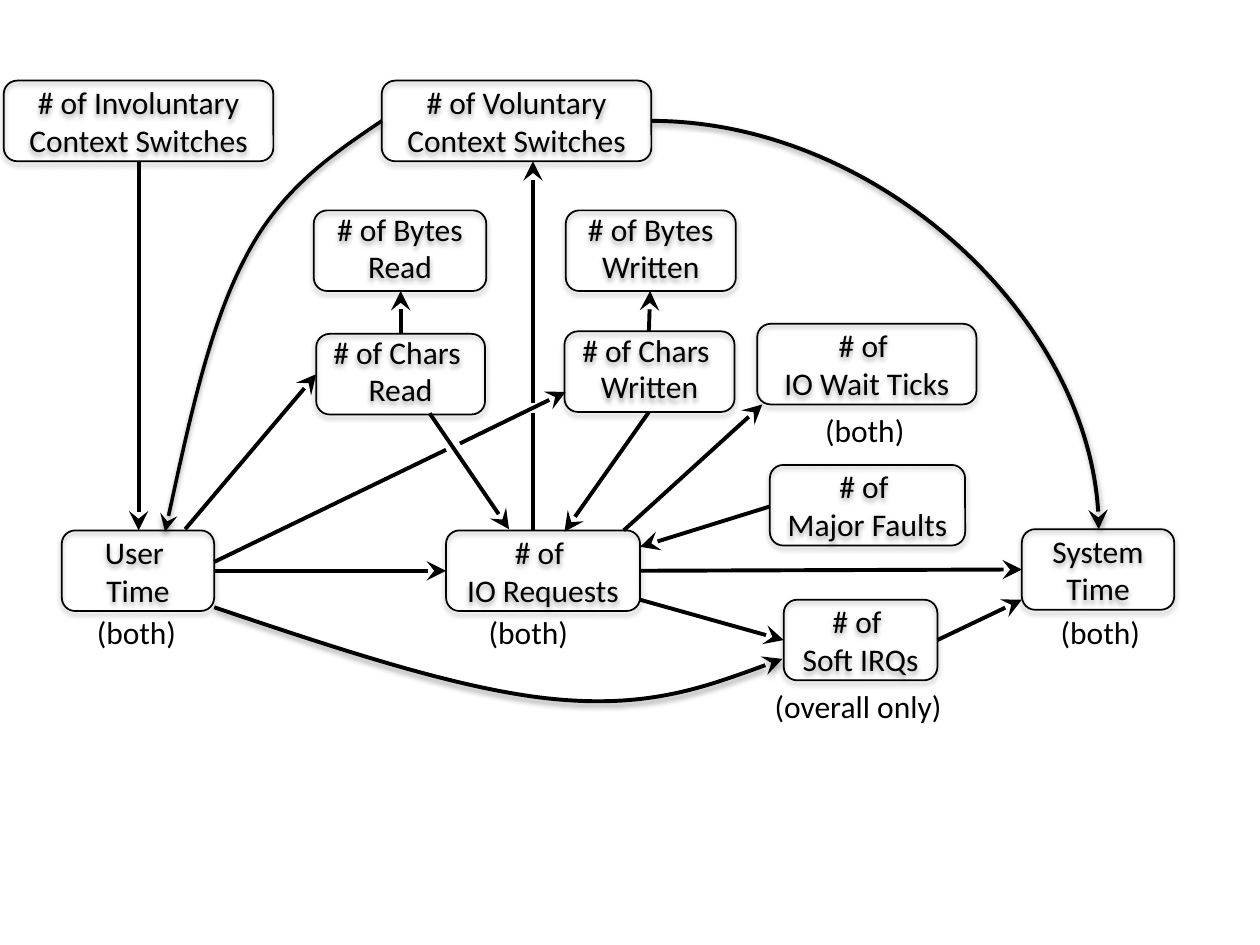
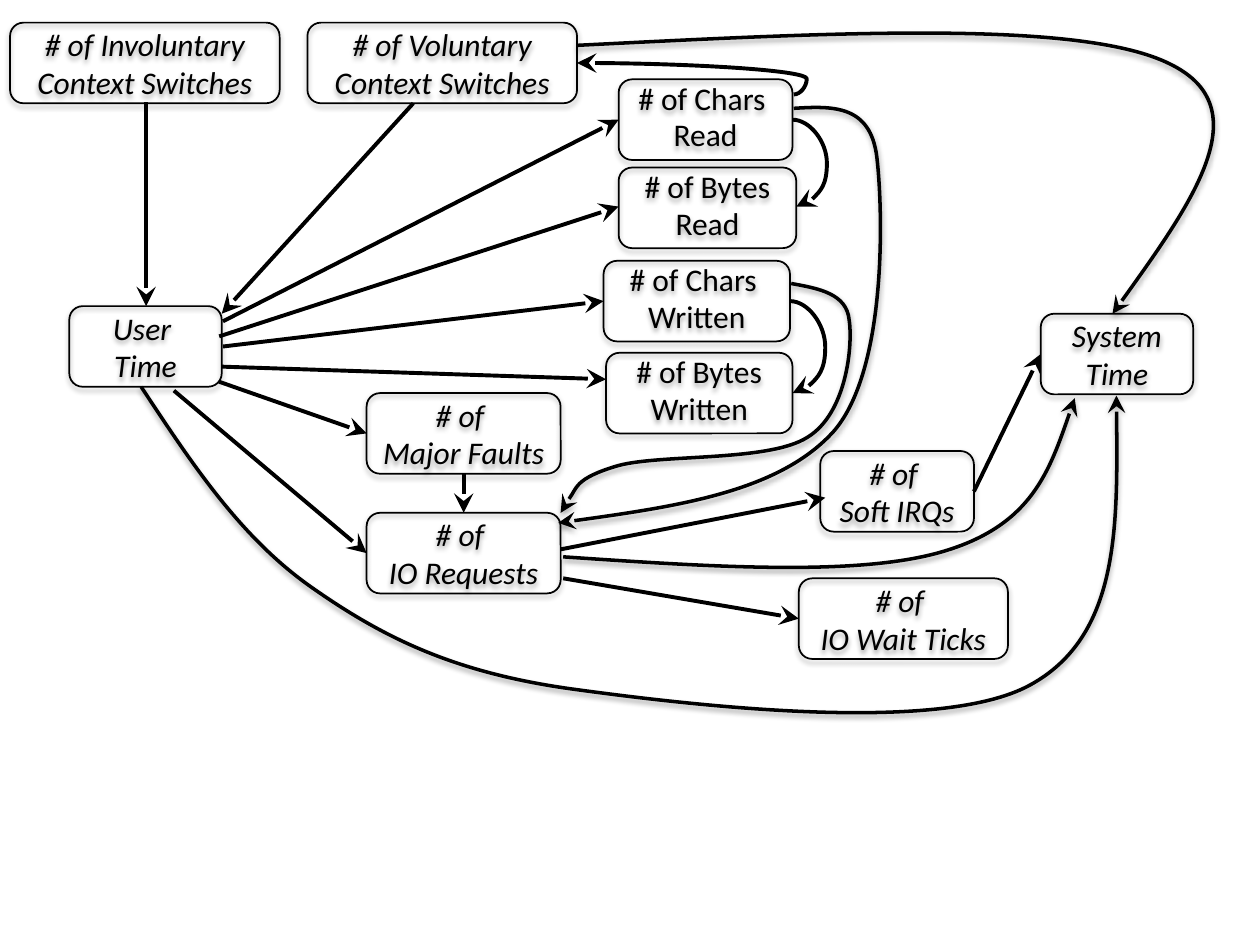
from dataclasses import dataclass
from itertools import chain

from lxml.etree import SubElement
from pptx import Presentation
from pptx.dml.color import RGBColor
from pptx.enum.shapes import MSO_CONNECTOR as CONN, MSO_SHAPE as SHAPE
from pptx.enum.text import MSO_ANCHOR as ANCHOR, MSO_AUTO_SIZE as AUTOSIZE, PP_ALIGN as ALIGN
from pptx.oxml.ns import qn
from pptx.util import Inches, Pt


@dataclass(frozen=True)
class Theme:
    ink: RGBColor = RGBColor(0, 0, 0)
    font: str = "Calibri"
    text: Pt = Pt(18)
    box_line: Pt = Pt(1)
    arrow_line: Pt = Pt(2.25)
    thin_arrow: Pt = Pt(2)
    shadow_blur: Pt = Pt(3.1)
    shadow_offset: Pt = Pt(1.8)
    shadow_alpha: int = 35000
    box_height: float = 0.64
    label_height: float = 0.4


THEME = Theme()

METRICS = {
    "user": ["User ", "Time"],
    "system": ["System", "Time"],
    "involuntary": ["# of Involuntary Context Switches"],
    "voluntary": ["# of Voluntary Context Switches"],
    "chars_read": ["# of Chars ", "Read"],
    "bytes_read": ["# of Bytes", "Read"],
    "chars_written": ["# of Chars ", "Written"],
    "bytes_written": ["# of Bytes", "Written"],
    "faults": ["# of ", "Major Faults"],
    "requests": ["# of ", "IO Requests"],
    "wait_ticks": ["# of ", "IO Wait Ticks"],
    "soft_irqs": ["# of ", "Soft IRQs"],
}
TRANSFER_METRICS = {"chars_read", "bytes_read", "chars_written", "bytes_written"}

# Box positions: left, top, width
OVERVIEW_BOXES = {
    "user": (0.49, 4.21, 1.21), "system": (8.11, 4.2, 1.21),
    "involuntary": (0.03, 0.64, 2.14), "voluntary": (3.03, 0.64, 2.14),
    "chars_read": (2.51, 2.65, 1.34), "bytes_read": (2.49, 1.67, 1.37),
    "chars_written": (4.48, 2.63, 1.35), "bytes_written": (4.49, 1.67, 1.35),
    "faults": (6.11, 3.69, 1.55), "requests": (3.54, 4.21, 1.54),
    "wait_ticks": (6.01, 2.57, 1.74), "soft_irqs": (6.22, 4.76, 1.22),
}
DETAIL_BOXES = {
    "user": (0.55, 2.43, 1.21), "system": (8.26, 2.49, 1.21),
    "involuntary": (0.08, 0.18, 2.14), "voluntary": (2.44, 0.18, 2.14),
    "chars_read": (4.91, 0.63, 1.38), "bytes_read": (4.91, 1.33, 1.41),
    "chars_written": (4.79, 2.07, 1.48), "bytes_written": (4.81, 2.8, 1.48),
    "faults": (2.91, 3.12, 1.54), "requests": (2.91, 4.07, 1.54),
    "wait_ticks": (6.34, 4.59, 1.66), "soft_irqs": (6.51, 3.58, 1.22),
}

# Straight arrows: start, end
OVERVIEW_ARROWS = [
    ((1.1, 1.28), (1.1, 4.21)), ((1.47, 4.2), (2.51, 2.97)),
    ((5.15, 2.63), (5.16, 2.31)), ((1.7, 4.53), (3.54, 4.53)),
    ((3.18, 2.65), (3.18, 2.31)), ((3.41, 3.28), (4.04, 4.2)),
    ((5.15, 3.27), (4.48, 4.22)), ((4.95, 4.21), (6.05, 3.21)),
    ((7.44, 5.08), (8.11, 4.76)), ((5.08, 4.76), (6.22, 5.08)),
    ((6.11, 4.02), (5.08, 4.34)), ((3.65, 3.52), (4.49, 3.11)),
    ((5.08, 4.53), (8.11, 4.52)), ((4.23, 3.2), (4.23, 1.28)),
]
# First halves of the two arrows that are broken where they cross others
OVERVIEW_STUBS = [((1.7, 4.46), (3.54, 3.57)), ((4.23, 4.21), (4.23, 3.28))]
DETAIL_ARROWS = [
    ((1.16, 0.81), (1.16, 2.43)), ((4.45, 4.36), (6.55, 3.95)),
    ((4.47, 4.59), (6.34, 4.91)), ((7.73, 3.9), (8.26, 2.81)),
    ((3.68, 3.76), (3.68, 4.07)), ((3.28, 0.82), (1.76, 2.49)),
    ((1.38, 3.1), (2.91, 4.39)), ((1.77, 2.55), (4.91, 0.95)),
    ((1.77, 2.75), (4.79, 2.39)), ((1.74, 2.67), (4.91, 1.64)),
    ((1.76, 2.91), (4.81, 3.01)), ((1.74, 3.03), (2.91, 3.44)),
]
# Bent arrows: start, end, bend as a share of the width
DETAIL_BENDS = [
    ((6.29, 0.95), (6.32, 1.64), 9.13),
    ((6.27, 2.39), (6.29, 3.12), 13.93),
    ((6.3, 0.75), (4.58, 0.5), -0.06),
]

# Free curves: start point, then two control points and an end for each segment
VOLUNTARY_TO_USER = [(3.03, 0.96), (2.63, 1.23), (2.23, 1.5), (1.95, 2.04),
                     (1.66, 2.59), (1.49, 3.4), (1.31, 4.22)]
USER_TO_SOFT_IRQS = [(1.7, 4.82), (2.68, 5.15), (3.66, 5.48), (4.41, 5.55),
                     (5.16, 5.62), (5.69, 5.42), (6.21, 5.23)]
DETAIL_CURVES = [
    [(6.28, 2.25), (6.5, 2.29), (6.72, 2.33), (6.74, 2.54), (6.77, 2.74), (6.72, 3.28),
     (6.41, 3.47), (6.1, 3.67), (5.22, 3.6), (4.89, 3.7), (4.56, 3.8), (4.45, 4.07),
     (4.45, 4.07)],
    [(6.3, 0.86), (6.61, 0.84), (6.91, 0.83), (6.96, 1.25), (7.01, 1.68), (7.04, 2.93),
     (6.62, 3.42), (6.19, 3.9), (5.31, 4.03), (4.43, 4.15)],
    [(4.47, 4.42), (5.65, 4.5), (6.84, 4.58), (7.51, 4.37), (8.19, 4.16), (8.36, 3.66),
     (8.53, 3.16)],
    [(1.12, 3.07), (1.51, 3.66), (1.9, 4.26), (2.47, 4.66), (3.04, 5.06), (3.6, 5.34),
     (4.55, 5.47), (5.5, 5.6), (7.45, 5.83), (8.17, 5.44), (8.89, 5.05), (8.87, 4.09),
     (8.86, 3.14)],
    [(4.58, 0.36), (6.58, 0.26), (8.58, 0.15), (9.29, 0.51), (10, 0.86), (9.42, 1.67),
     (8.83, 2.49)],
]

# Scope labels: text, left, top, width
SCOPE_LABELS = [
    ("(overall only)", 6.05, 5.4, 1.54), ("(both)", 8.32, 4.82, 0.84),
    ("(both)", 0.67, 4.82, 0.84), ("(both)", 3.78, 4.82, 0.84),
    ("(both)", 6.45, 3.21, 0.84),
]


def add_xml(parent, tag, **attributes):
    return SubElement(parent, qn(tag), {k: str(v) for k, v in attributes.items()})


def set_effects(s, shadow):
    """Replace the theme's effects by a soft drop shadow or by none; call after the line is set."""
    effects = add_xml(s._element.spPr, "a:effectLst")
    if shadow:
        outer = add_xml(effects, "a:outerShdw", blurRad=THEME.shadow_blur,
                        dist=THEME.shadow_offset, dir=5400000, rotWithShape=0)
        color = add_xml(outer, "a:srgbClr", val=THEME.ink)
        add_xml(color, "a:alpha", val=THEME.shadow_alpha)


def set_stroke(s, width, head=False, shadow=False):
    s.line.color.rgb = THEME.ink
    s.line.width = width
    if head:
        add_xml(s.get_or_add_ln(), "a:tailEnd", type="stealth", w="lg", len="lg")
    set_effects(s, shadow)


def add_run(p, text, italic=False):
    r = p.add_run()
    r.text = text
    r.font.name, r.font.size = THEME.font, THEME.text
    r.font.color.rgb = THEME.ink
    if italic:
        r.font.italic = True


def add_metric(slide, name, left, top, width, italic):
    s = slide.shapes.add_shape(SHAPE.ROUNDED_RECTANGLE, Inches(left), Inches(top),
                               Inches(width), Inches(THEME.box_height))
    s.fill.background()
    set_stroke(s, THEME.box_line, shadow=True)
    tf = s.text_frame
    tf.word_wrap = True
    tf.vertical_anchor = ANCHOR.MIDDLE
    for i, line in enumerate(METRICS[name]):
        p = tf.add_paragraph() if i else tf.paragraphs[0]
        p.alignment = ALIGN.CENTER
        if name in TRANSFER_METRICS:
            p.line_spacing = 0.8
            if i:
                p.space_before = Pt(3.6)
        add_run(p, line, italic and name not in TRANSFER_METRICS)


def add_label(slide, text, left, top, width):
    tf = slide.shapes.add_textbox(Inches(left), Inches(top), Inches(width),
                                  Inches(THEME.label_height)).text_frame
    tf.word_wrap = False
    tf.auto_size = AUTOSIZE.SHAPE_TO_FIT_TEXT
    add_run(tf.paragraphs[0], text)


def add_line(slide, start, end, kind=CONN.STRAIGHT, head=True, shadow=False):
    s = slide.shapes.add_connector(kind, *map(Inches, chain(start, end)))
    set_stroke(s, THEME.arrow_line, head, shadow)
    return s


def add_bend(slide, start, end, bend):
    geometry = add_line(slide, start, end, CONN.CURVE)._element.spPr.find(qn("a:prstGeom"))
    guides = geometry.find(qn("a:avLst"))
    add_xml(guides, "a:gd", name="adj1", fmla=f"val {round(bend * 100000)}")


def add_quarter_arc(slide, start, end):
    s = add_line(slide, start, end, CONN.CURVE, shadow=True)
    s._element.spPr.find(qn("a:prstGeom")).set("prst", "curvedConnector2")


def bezier_point(points, t):
    weights = ((1 - t) ** 3, 3 * t * (1 - t) ** 2, 3 * t * t * (1 - t), t ** 3)
    return tuple(round(sum(w * c for w, c in zip(weights, axis))) for axis in zip(*points))


def add_curve(slide, points, width):
    """Draw an arrow of Bézier segments in a frame that fits the visible curve."""
    points = [(Inches(x), Inches(y)) for x, y in points]
    segments = [points[i:i + 4] for i in range(0, len(points) - 1, 3)]
    steps = 40
    outline = [bezier_point(seg, n / steps) for seg in segments for n in range(1, steps + 1)]
    builder = slide.shapes.build_freeform(*points[0], scale=1.0)
    builder.add_line_segments(outline, close=False)
    s = builder.convert_to_shape()
    geometry = next(s._element.iter(qn("a:path")))
    for segment in geometry.findall(qn("a:lnTo")):
        geometry.remove(segment)
    for segment in segments:
        bezier = add_xml(geometry, "a:cubicBezTo")
        for x, y in segment[1:]:
            add_xml(bezier, "a:pt", x=x - s.left, y=y - s.top)
    s.fill.background()
    set_stroke(s, width, head=True, shadow=True)


def add_diagram(prs, boxes, arrows, italic=False):
    slide = prs.slides.add_slide(prs.slide_layouts[6])
    for start, end in arrows:
        add_line(slide, start, end)
    for name, place in boxes.items():
        add_metric(slide, name, *place, italic)
    return slide


def build_overview(prs):
    slide = add_diagram(prs, OVERVIEW_BOXES, OVERVIEW_ARROWS)
    for start, end in OVERVIEW_STUBS:
        add_line(slide, start, end, head=False)
    add_quarter_arc(slide, (5.17, 0.96), (8.72, 4.2))
    add_curve(slide, VOLUNTARY_TO_USER, THEME.thin_arrow)
    add_curve(slide, USER_TO_SOFT_IRQS, THEME.arrow_line)
    for label in SCOPE_LABELS:
        add_label(slide, *label)


def build_detail(prs):
    slide = add_diagram(prs, DETAIL_BOXES, DETAIL_ARROWS, italic=True)
    for bend in DETAIL_BENDS:
        add_bend(slide, *bend)
    for points in DETAIL_CURVES:
        add_curve(slide, points, THEME.thin_arrow)


def main():
    prs = Presentation()
    prs.slide_width, prs.slide_height = Inches(10), Inches(7.5)
    build_overview(prs)
    build_detail(prs)
    prs.save("out.pptx")


if __name__ == "__main__":
    main()
